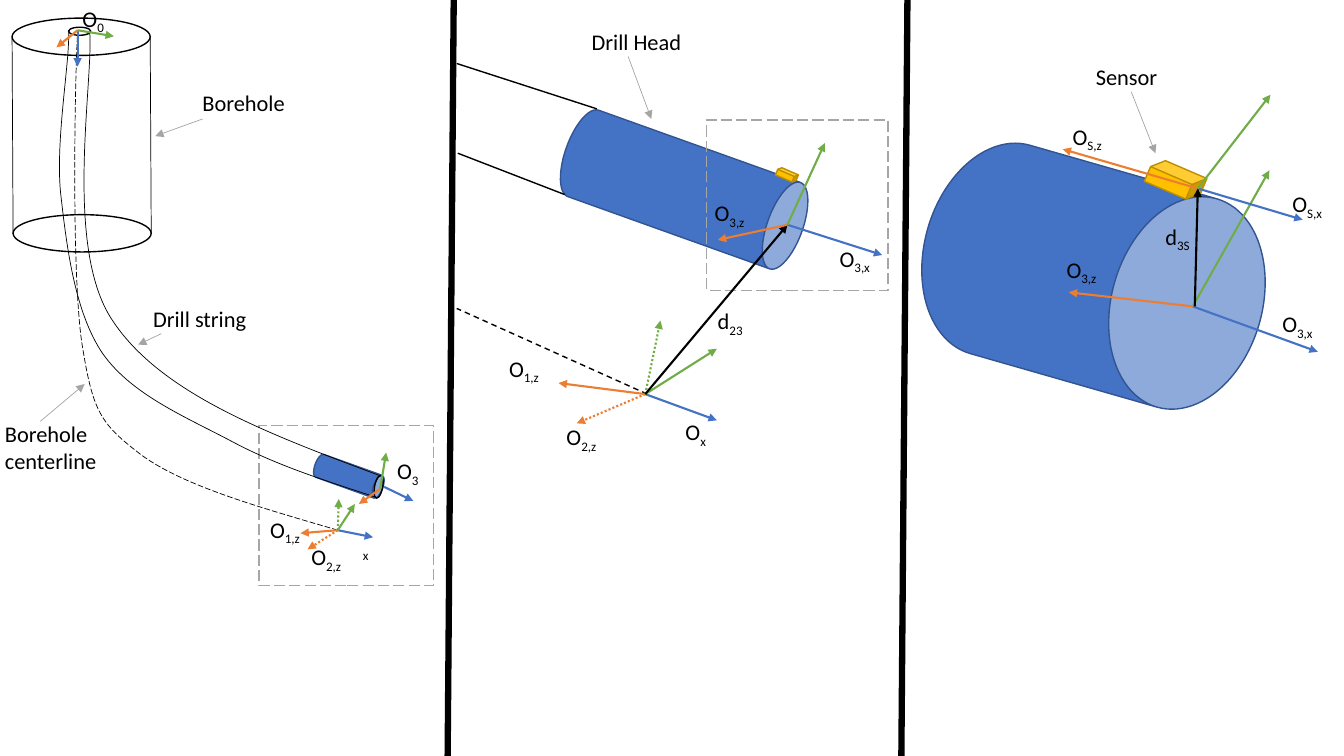
from dataclasses import dataclass

from lxml.etree import SubElement
from pptx import Presentation
from pptx.dml.color import RGBColor
from pptx.enum.dml import MSO_LINE as Dash
from pptx.enum.shapes import MSO_CONNECTOR as Connector, MSO_SHAPE as Preset
from pptx.enum.text import MSO_AUTO_SIZE as AutoSize
from pptx.oxml.ns import qn
from pptx.util import Inches, Pt


@dataclass(frozen=True)
class Theme:
    font: str = "Calibri"
    size: int = 16
    black: str = "000000"
    blue: str = "4472C4"
    blue_edge: str = "325491"
    green: str = "70AD47"
    orange: str = "ED7D31"
    gold: str = "FFC000"
    gold_edge: str = "BD8E00"
    gray: str = "A5A5A5"
    frame: str = "A6A6A6"


theme = Theme()


def style_shape(shape, fill, color, width=1, dash=None):
    shape.shadow.inherit = False
    if fill:
        shape.fill.solid()
        shape.fill.fore_color.rgb = RGBColor.from_string(fill)
    else:
        shape.fill.background()
    shape.line.color.rgb = RGBColor.from_string(color)
    shape.line.width = Pt(width)
    shape.line.dash_style = dash


def draw_line(start, end, color, width, dash=None, arrow=False):
    ends = [Inches(value) for value in (*start, *end)]
    connector = page.shapes.add_connector(Connector.STRAIGHT, *ends)
    connector.line.color.rgb = RGBColor.from_string(color)
    connector.line.width = Pt(width)
    connector.line.dash_style = dash
    if arrow:
        SubElement(connector.line._get_or_add_ln(), qn("a:tailEnd"), type="triangle")
    SubElement(connector._element.spPr, qn("a:effectLst"))


deck = Presentation()
deck.slide_width = Inches(13.33)
deck.slide_height = Inches(7.5)
page = deck.slides.add_slide(deck.slide_layouts[6])

for left in (4.44, 8.94):
    draw_line((left, 7.5), (left + 0.06, 0), theme.black, 4.5)

solids = [
    (Preset.CAN, 9.77, 1.03, 2.15, 3.42, 106, 0.694, theme.blue, theme.blue_edge),
    (Preset.CAN, 6.33, 0.64, 0.91, 2.48, 109.7, 0.388, theme.blue, theme.blue_edge),
    (Preset.CAN, 3.34, 4.37, 0.24, 0.71, 109.7, 0.388, theme.blue, theme.blue_edge),
    (Preset.CUBE, 11.38, 1.65, 0.56, 0.27, 23.3, 0.416, theme.gold, theme.gold_edge),
    (Preset.CUBE, 7.7, 1.69, 0.21, 0.09, 23.3, 0.338, theme.gold, theme.gold_edge),
]
for preset, left, top, width, height, angle, depth, fill, edge in solids:
    solid = page.shapes.add_shape(preset, Inches(left), Inches(top), Inches(width), Inches(height))
    solid.rotation = angle
    solid.adjustments[0] = depth
    style_shape(solid, fill, edge)

outlines = [
    (Preset.OVAL, 0.12, 0.18, 1.37, 0.37, 0, theme.black, None),
    (Preset.OVAL, 0.13, 2.13, 1.37, 0.37, 0, theme.black, None),
    (Preset.OVAL, 0.68, 0.27, 0.22, 0.08, 0, theme.black, None),
    (Preset.OVAL, 3.64, 4.79, 0.23, 0.08, 101, theme.black, None),
    (Preset.RECTANGLE, 7.01, 1.19, 1.8, 1.69, 0, theme.frame, Dash.LONG_DASH),
    (Preset.RECTANGLE, 2.57, 4.22, 1.73, 1.59, 0, theme.frame, Dash.LONG_DASH),
]
for preset, left, top, width, height, angle, color, dash in outlines:
    outline = page.shapes.add_shape(preset, Inches(left), Inches(top), Inches(width), Inches(height))
    outline.rotation = angle
    style_shape(outline, None, color, 1, dash)

string_upper = [(3.77, 4.72), (2.68, 4.31), (1.59, 3.91), (1.11, 3.17),
                (0.63, 2.44), (0.93, 0.81), (0.89, 0.31)]
string_lower = [(3.72, 4.93), (3.23, 4.77), (2.75, 4.62), (2.3, 4.38),
                (1.85, 4.14), (1.31, 3.92), (1.02, 3.51),
                (0.74, 3.1), (0.66, 2.44), (0.6, 1.9),
                (0.55, 1.37), (0.7, 0.57), (0.68, 0.3)]
centerline = [(3.35, 5.26), (2.6, 5.04), (1.84, 4.83), (1.41, 4.52),
              (0.99, 4.2), (0.92, 4.09), (0.81, 3.39),
              (0.71, 2.68), (0.74, 0.85), (0.77, 0.3)]
for knots, left, dash in [
    (string_upper, 0.83, None),
    (string_lower, 0.59, None),
    (centerline, 0.74, Dash.LONG_DASH),
]:
    (right, bottom), top = knots[0], knots[-1][1]
    builder = page.shapes.build_freeform(Inches(right), Inches(bottom))
    builder.add_line_segments([(Inches(left), Inches(top))], close=False)
    curve = builder.convert_to_shape()
    style_shape(curve, None, theme.black, 0.5, dash)
    trace = curve._element.find(".//" + qn("a:path"))
    trace.remove(trace.find(qn("a:lnTo")))
    for first in range(1, len(knots), 3):
        bend = SubElement(trace, qn("a:cubicBezTo"))
        for x, y in knots[first:first + 3]:
            SubElement(bend, qn("a:pt"), x=str(Inches(x) - Inches(left)), y=str(Inches(y) - Inches(top)))

for start, end, width, dash in [
    ((0.12, 0.37), (0.13, 2.32), 0.5, None),
    ((1.49, 0.37), (1.5, 2.32), 0.5, None),
    ((5.6, 1.93), (4.54, 1.52), 1, None),
    ((5.92, 1.08), (4.53, 0.63), 1, None),
    ((6.42, 3.91), (4.53, 3.06), 1, Dash.DASH),
]:
    draw_line(start, end, theme.black, width, dash)

dotted = Dash.ROUND_DOT
head_origin, sensor_origin = (7.81, 2.23), (11.88, 1.87)
axes = [
    ((0.77, 0.3), [(theme.blue, None, (0.77, 0.66)), (theme.green, None, (1.13, 0.36)),
                   (theme.orange, None, (0.56, 0.47))]),
    ((3.35, 5.26), [(theme.orange, None, (2.98, 5.29)), (theme.blue, None, (3.7, 5.33)),
                    (theme.green, dotted, (3.36, 4.95)), (theme.orange, dotted, (3.05, 5.45)),
                    (theme.green, None, (3.52, 5))]),
    ((3.77, 4.85), [(theme.green, None, (3.83, 4.49)), (theme.orange, None, (3.56, 5))]),
    ((3.81, 4.83), [(theme.blue, None, (4.1, 4.97))]),
    ((6.4, 3.91), [(theme.orange, None, (5.54, 3.8)), (theme.blue, None, (7.11, 4.17)),
                   (theme.green, dotted, (6.55, 3.18)), (theme.orange, dotted, (5.72, 4.2)),
                   (theme.green, None, (7.11, 3.46)), (theme.black, None, head_origin)]),
    (head_origin, [(theme.orange, None, (7.12, 2.38)), (theme.blue, None, (8.75, 2.53)),
                   (theme.green, None, (8.18, 1.42))]),
    ((11.83, 3.04), [(theme.blue, None, (13.07, 3.49)), (theme.green, None, (12.59, 1.69)),
                     (theme.orange, None, (10.6, 2.9))]),
    (sensor_origin, [(theme.blue, None, (12.92, 2.18)), (theme.green, None, (12.6, 0.94)),
                     (theme.orange, None, (10.54, 1.48))]),
    ((11.85, 3.04), [(theme.black, None, sensor_origin)]),
]
for origin, arrows in axes:
    for color, dash, tip in arrows:
        draw_line(origin, tip, color, 1.5, dash, arrow=True)

for start, end in [
    ((2.01, 1.18), (1.54, 1.35)),
    ((1.6, 3.31), (1.37, 3.42)),
    ((0.4, 4.18), (0.84, 3.81)),
    ((6.23, 0.56), (6.46, 1.18)),
    ((11.22, 0.91), (11.46, 1.52)),
]:
    draw_line(start, end, theme.gray, 0.5, arrow=True)

labels = [
    (0.72, 0, 0.5, 0.37, "O", "0"),
    (1.91, 0.84, 1.18, 0.37, "Borehole", ""),
    (1.42, 2.98, 1.18, 0.37, "Drill string", ""),
    (-0.05, 4.12, 1.11, 0.64, "Borehole centerline", ""),
    (3.84, 4.49, 0.44, 0.37, "O", "3"),
    (2.58, 5.07, 0.57, 0.37, "O", "1,z"),
    (2.99, 5.34, 0.57, 0.37, "O", "2,z"),
    (3.5, 5.23, 0.57, 0.28, "", "x"),
    (5.77, 0.23, 1.2, 0.37, "Drill Head", ""),
    (6.99, 1.93, 0.54, 0.37, "O", "3,z"),
    (8.23, 2.38, 0.54, 0.37, "O", "3,x"),
    (7.02, 3, 0.48, 0.37, "d", "23"),
    (4.95, 3.47, 0.59, 0.37, "O", "1,z"),
    (5.52, 4.15, 0.52, 0.37, "O", "2,z"),
    (6.7, 4.1, 0.48, 0.37, "O", "x"),
    (10.77, 0.58, 0.93, 0.37, "Sensor", ""),
    (10.54, 1.17, 0.62, 0.37, "O", "S,z"),
    (12.72, 1.84, 0.62, 0.37, "O", "S,x"),
    (11.46, 2.16, 0.47, 0.37, "d", "3S"),
    (10.48, 2.49, 0.68, 0.37, "O", "3,z"),
    (12.62, 3.03, 0.68, 0.37, "O", "3,x"),
]
for left, top, width, height, name, subscript in labels:
    box = page.shapes.add_textbox(Inches(left), Inches(top), Inches(width), Inches(height))
    box.text_frame.word_wrap = True
    box.text_frame.auto_size = AutoSize.SHAPE_TO_FIT_TEXT
    para = box.text_frame.paragraphs[0]
    for text, baseline in ((name, None), (subscript, "-25000")):
        if text:
            span = para.add_run()
            span.text = text
            span.font.name = theme.font
            span.font.size = Pt(theme.size)
            span.font.color.rgb = RGBColor.from_string(theme.black)
            if baseline:
                span.font._element.set("baseline", baseline)

deck.save("out.pptx")
